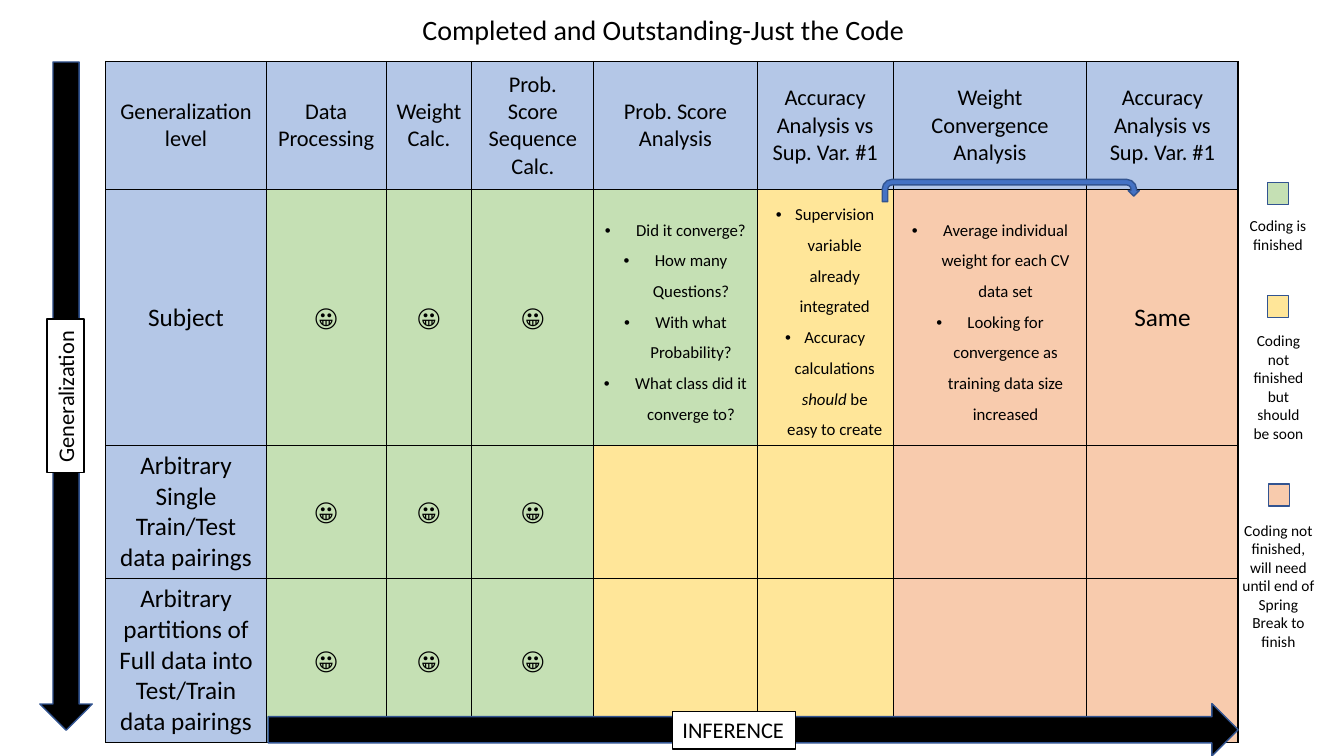
import dataclasses
import typing

import lxml.etree
import pptx
import pptx.dml.color
import pptx.enum.shapes
import pptx.enum.text
import pptx.oxml.ns
import pptx.util

Shapes = pptx.enum.shapes.MSO_SHAPE
Align = pptx.enum.text.PP_ALIGN


@dataclasses.dataclass(frozen=True)
class Theme:
    font: str = "Calibri"
    black: str = "000000"
    white: str = "FFFFFF"
    blue: str = "4472C4"
    outline: str = "325491"
    header: str = "B4C7E7"
    done: str = "C5E0B4"
    soon: str = "FFE699"
    later: str = "F8CBAD"
    title_size: int = 20
    cell_size: int = 18
    label_size: int = 16
    bullet_size: int = 12
    legend_size: int = 11


THEME = Theme()


class Place(typing.NamedTuple):
    left: float
    top: float
    width: float
    height: float

    def lengths(self) -> list[int]:
        return [pptx.util.Inches(value) for value in self]


class Span(typing.NamedTuple):
    text: str
    italic: bool = False


class Entry(typing.NamedTuple):
    paragraphs: list[list[Span]]
    size: int = THEME.cell_size
    indent: float = 0


class Figure(typing.NamedTuple):
    kind: Shapes
    place: Place
    fill: str
    rotation: int = 0


class Label(typing.NamedTuple):
    text: str
    place: Place
    size: int
    boxed: bool = False
    rotation: int = 0
    wrapped: bool = False


def plain(*lines: str, size: int = THEME.cell_size, indent: float = 0) -> Entry:
    return Entry([[Span(line)] for line in lines], size, indent)


COLUMNS = [1.59, 1.19, 0.85, 1.21, 1.62, 1.35, 1.92, 1.5]
ROWS = [1.27, 2.19, 1.27, 1.56]
HEADINGS = [
    "Generalization level", "Data Processing", "Weight Calc.", "Prob. Score Sequence Calc.",
    "Prob. Score Analysis", "Accuracy Analysis vs Sup. Var. #1",
    "Weight Convergence Analysis", "Accuracy Analysis vs Sup. Var. #1",
]
SMILEYS = [plain("😀")] * 3
BLANKS = [Entry([])] * 4
SUBJECT_DETAILS = [
    plain("Did it converge?", "How many Questions?", "With what Probability?",
          "What class did it converge to?", size=THEME.bullet_size, indent=0.31),
    Entry([[Span("Supervision variable already integrated")],
           [Span("Accuracy calculations "), Span("should", True), Span(" be easy to create")]],
          THEME.bullet_size, 0.19),
    plain("Average individual weight for each CV data set",
          "Looking for convergence as training data size increased",
          size=THEME.bullet_size, indent=0.31),
    plain("Same"),
]
ENTRIES = [
    [plain(heading, size=THEME.label_size) for heading in HEADINGS],
    [plain("Subject"), *SMILEYS, *SUBJECT_DETAILS],
    [plain("Arbitrary Single Train/Test", "data pairings"), *SMILEYS, *BLANKS],
    [plain("Arbitrary partitions of Full data into Test/Train data pairings"), *SMILEYS, *BLANKS],
]
STATUS = [THEME.header] + [THEME.done] * 3 + [THEME.soon] * 2 + [THEME.later] * 2
FILLS = [
    [THEME.header] * len(COLUMNS),
    STATUS[:4] + [THEME.done] + STATUS[5:],
    STATUS,
    STATUS,
]

FIGURES = [
    Figure(Shapes.U_TURN_ARROW, Place(8.75, 1.78, 2.55, 0.22), THEME.blue),
    Figure(Shapes.RIGHT_ARROW, Place(2.66, 6.98, 9.62, 0.52), THEME.black),
    Figure(Shapes.RIGHT_ARROW, Place(-2.66, 3.67, 6.63, 0.52), THEME.black, 90),
    Figure(Shapes.RECTANGLE, Place(12.57, 1.81, 0.21, 0.22), THEME.done),
    Figure(Shapes.RECTANGLE, Place(12.57, 2.93, 0.21, 0.22), THEME.soon),
    Figure(Shapes.RECTANGLE, Place(12.58, 4.8, 0.21, 0.22), THEME.later),
]
LABELS = [
    Label("INFERENCE", Place(6.67, 7.06, 1.22, 0.37), THEME.label_size, boxed=True),
    Label("Generalization", Place(-0.11, 3.74, 1.52, 0.37), THEME.label_size, boxed=True, rotation=270),
    Label("Coding is finished", Place(12.22, 2.1, 0.91, 0.47), THEME.legend_size, wrapped=True),
    Label("Coding not finished but should be soon", Place(12.32, 3.24, 0.72, 1.21),
          THEME.legend_size, wrapped=True),
    Label("Coding not finished, will need until end of Spring Break to finish",
          Place(12.21, 5.12, 0.94, 1.4), THEME.legend_size, wrapped=True),
    Label("Completed and Outstanding-Just the Code", Place(4.09, 0.07, 5.15, 0.44), THEME.title_size),
]


def assign(target: typing.Any, values: dict[str, typing.Any]) -> None:
    for name, value in values.items():
        setattr(target, name, value)


def colour(code: str) -> pptx.dml.color.RGBColor:
    return pptx.dml.color.RGBColor.from_string(code)


def add_element(parent: typing.Any, tag: str, **attributes: str) -> typing.Any:
    return lxml.etree.SubElement(parent, pptx.oxml.ns.qn(tag), attributes)


def paint(item: typing.Any, code: str) -> None:
    item.fill.solid()
    item.fill.fore_color.rgb = colour(code)


def outline(item: typing.Any, code: str) -> None:
    item.line.color.rgb = colour(code)
    item.line.width = pptx.util.Pt(1)


def add_span(para: typing.Any, content: Span, size: int) -> None:
    span = para.add_run()
    span.text = content.text
    assign(span.font, {"name": THEME.font, "size": pptx.util.Pt(size), "bold": False,
                       "italic": content.italic})
    span.font.color.rgb = colour(THEME.black)


def add_bullet(para: typing.Any, indent: float) -> None:
    para.line_spacing = 1.5
    properties = para._p.get_or_add_pPr()
    distance = pptx.util.Inches(indent)
    properties.set("marL", str(distance))
    properties.set("indent", str(-distance))
    add_element(properties, "a:buFont", typeface="Arial")
    add_element(properties, "a:buChar", char="•")


def fill_cell(cell: typing.Any, entry: Entry, code: str) -> None:
    cell.vertical_anchor = pptx.enum.text.MSO_ANCHOR.MIDDLE
    properties = cell._tc.get_or_add_tcPr()
    for side in "LRTB":
        border = add_element(properties, f"a:ln{side}", w=str(pptx.util.Pt(1)))
        add_element(add_element(border, "a:solidFill"), "a:srgbClr", val=THEME.black)
    paint(cell, code)
    for index, spans in enumerate(entry.paragraphs):
        para = cell.text_frame.add_paragraph() if index else cell.text_frame.paragraphs[0]
        para.alignment = Align.CENTER
        if entry.indent:
            add_bullet(para, entry.indent)
        for content in spans:
            add_span(para, content, entry.size)


def draw_table(page: typing.Any) -> None:
    place = Place(1.05, 0.61, sum(COLUMNS), sum(ROWS))
    table = page.shapes.add_table(len(ROWS), len(COLUMNS), *place.lengths()).table
    assign(table, {"first_row": False, "horz_banding": False})
    for column, width in zip(table.columns, COLUMNS):
        column.width = pptx.util.Inches(width)
    for row, height, entries, codes in zip(table.rows, ROWS, ENTRIES, FILLS):
        row.height = pptx.util.Inches(height)
        for cell, entry, code in zip(row.cells, entries, codes):
            fill_cell(cell, entry, code)


def draw_figure(page: typing.Any, figure: Figure) -> None:
    shape = page.shapes.add_shape(figure.kind, *figure.place.lengths())
    shape.shadow.inherit = False
    shape.rotation = figure.rotation
    paint(shape, figure.fill)
    outline(shape, THEME.outline)


def draw_label(page: typing.Any, label: Label) -> None:
    box = page.shapes.add_textbox(*label.place.lengths())
    box.rotation = label.rotation
    assign(box.text_frame, {"word_wrap": label.wrapped,
                            "auto_size": pptx.enum.text.MSO_AUTO_SIZE.SHAPE_TO_FIT_TEXT})
    if label.boxed:
        paint(box, THEME.white)
        outline(box, THEME.black)
    para = box.text_frame.paragraphs[0]
    para.alignment = Align.CENTER if label.wrapped else Align.LEFT
    add_span(para, Span(label.text), label.size)


def main() -> None:
    deck = pptx.Presentation()
    assign(deck, {"slide_width": pptx.util.Inches(13.33), "slide_height": pptx.util.Inches(7.5)})
    page = deck.slides.add_slide(deck.slide_layouts[6])
    draw_table(page)
    for figure in FIGURES:
        draw_figure(page, figure)
    for label in LABELS:
        draw_label(page, label)
    deck.save("out.pptx")


if __name__ == "__main__":
    main()
